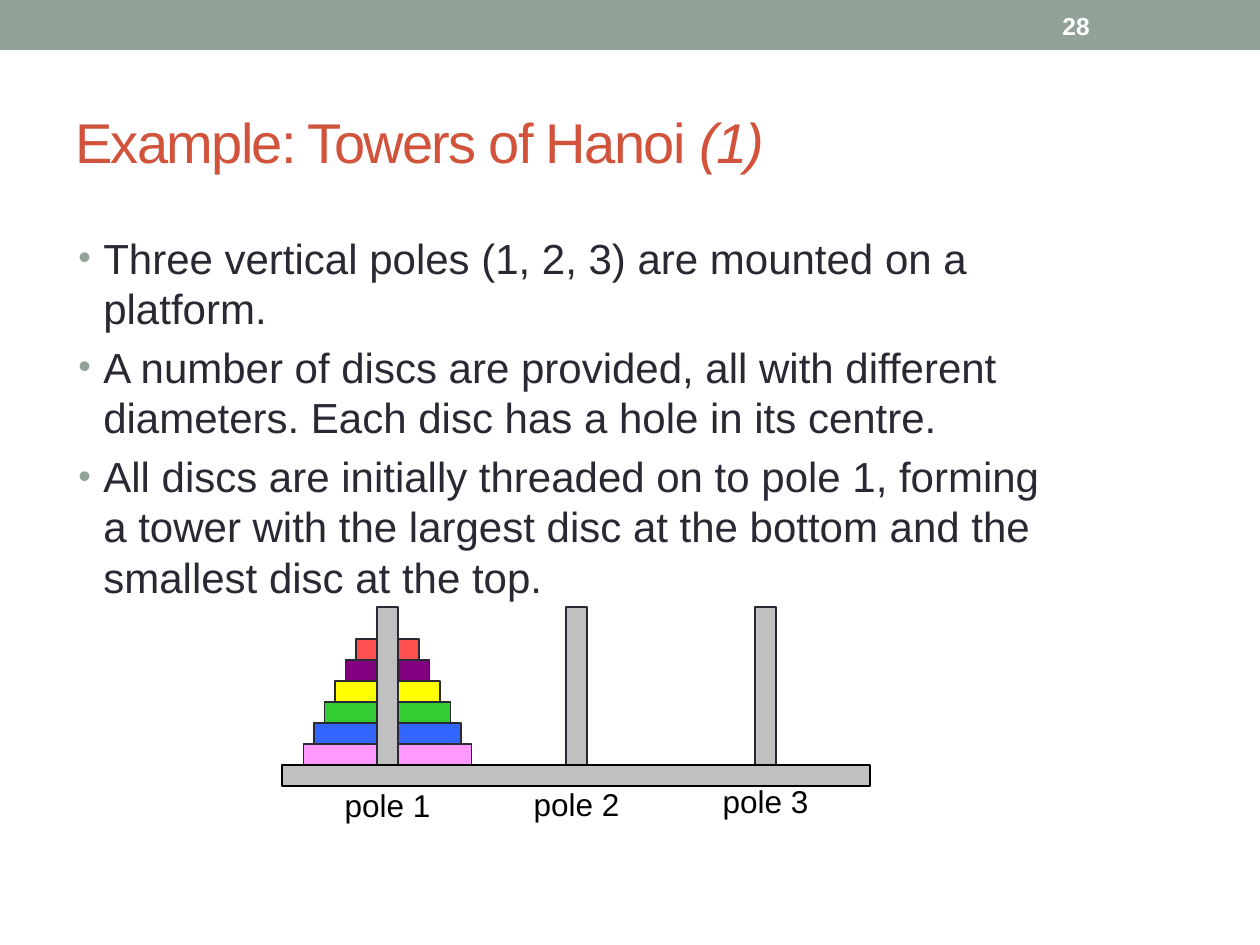
from dataclasses import dataclass

from lxml.etree import SubElement
from pptx import Presentation
from pptx.dml.color import RGBColor
from pptx.enum.shapes import MSO_SHAPE
from pptx.enum.text import MSO_ANCHOR, PP_ALIGN
from pptx.oxml.ns import qn
from pptx.util import Pt


@dataclass(frozen=True)
class Theme:
    font: str = "Arial"
    banner: str = "93A299"
    title: str = "D2533C"
    ink: str = "292934"
    black: str = "000000"
    white: str = "FFFFFF"
    wood: str = "C0C0C0"
    title_size: int = 32
    body_size: int = 24
    label_size: int = 18
    number_size: int = 14


THEME = Theme()
TITLE = [("Example: Towers of Hanoi ", False), ("(1)", True)]
PAGE_NUMBER = "28"
BULLETS = [
    "Three vertical poles (1, 2, 3) are mounted on a platform.",
    "A number of discs are provided, all with different diameters. Each disc has a hole in its centre.",
    "All discs are initially threaded on to pole 1, forming a tower with the largest disc at the bottom and the smallest disc at the top.",
]
DISC_COLORS = ["FF5050", "800080", "FFFF00", "33CC33", "3366FF", "FF99FF"]
POLES = [("pole 1", 786), ("pole 2", 785), ("pole 3", 782)]

UNIT = 21
PLATFORM_LEFT, PLATFORM_TOP, PLATFORM_WIDTH = 282, 765, 588
POLE_LEFT, POLE_TOP, POLE_HEIGHT, POLE_PITCH = 377, 607, 168, 189
LABEL_WIDTH, LABEL_HEIGHT = 94, 38
SMALLEST_DISC = 3 * UNIT


def emu(px):
    return round(px * 914400 / 126)


def add_bar(page, left, top, width, height, fill, line=None):
    bar = page.shapes.add_shape(MSO_SHAPE.RECTANGLE, *map(emu, (left, top, width, height)))
    bar.shadow.inherit = False
    bar.fill.solid()
    bar.fill.fore_color.rgb = RGBColor.from_string(fill)
    if line:
        bar.line.color.rgb = RGBColor.from_string(line)
        bar.line.width = Pt(0.75)
    else:
        bar.line.fill.background()


def add_text_frame(page, left, top, width, height, anchor=MSO_ANCHOR.TOP):
    box = page.shapes.add_textbox(*map(emu, (left, top, width, height)))
    frame = box.text_frame
    frame.word_wrap = True
    frame.vertical_anchor = anchor
    return frame


def style(para, size, color, bold=False):
    para.font.name = THEME.font
    para.font.size = Pt(size)
    para.font.bold = bold
    para.font.color.rgb = RGBColor.from_string(color)


def add_bullet(para):
    properties = para._p.get_or_add_pPr()
    properties.set("marL", str(emu(25)))
    properties.set("indent", str(emu(-25)))
    color = SubElement(properties, qn("a:buClr"))
    SubElement(color, qn("a:srgbClr"), val=THEME.banner)
    SubElement(properties, qn("a:buSzPct"), val="85000")
    SubElement(properties, qn("a:buFont"), typeface=THEME.font)
    SubElement(properties, qn("a:buChar"), char="•")


def add_heading(page):
    para = add_text_frame(page, 63, 73, 1134, 136, MSO_ANCHOR.MIDDLE).paragraphs[0]
    style(para, THEME.title_size, THEME.title)
    for text, italic in TITLE:
        span = para.add_run()
        span.text = text
        span.font.italic = italic
        span._r.get_or_add_rPr().set("spc", "-100")


def add_body(page):
    frame = add_text_frame(page, 66, 226, 993, 635)
    for index, text in enumerate(BULLETS):
        para = frame.add_paragraph() if index else frame.paragraphs[0]
        para.text = text
        add_bullet(para)
        if index:
            para.space_before = Pt(0.2 * THEME.body_size)
        style(para, THEME.body_size, THEME.ink)


def add_towers(page):
    center = POLE_LEFT + UNIT / 2
    for index, color in enumerate(DISC_COLORS):
        width = SMALLEST_DISC + index * UNIT
        top = PLATFORM_TOP - (len(DISC_COLORS) - index) * UNIT
        add_bar(page, center - width / 2, top, width, UNIT, color, THEME.ink)
    for index, (label, label_top) in enumerate(POLES):
        left = POLE_LEFT + index * POLE_PITCH
        add_bar(page, left, POLE_TOP, UNIT, POLE_HEIGHT, THEME.wood, THEME.ink)
        frame = add_text_frame(
            page, left + (UNIT - LABEL_WIDTH) / 2, label_top, LABEL_WIDTH, LABEL_HEIGHT
        )
        frame.margin_left = frame.margin_right = frame.margin_top = frame.margin_bottom = 0
        para = frame.paragraphs[0]
        para.text = label
        para.alignment = PP_ALIGN.CENTER
        style(para, THEME.label_size, THEME.black)
    add_bar(page, PLATFORM_LEFT, PLATFORM_TOP, PLATFORM_WIDTH, UNIT, THEME.wood, THEME.black)


def main():
    deck = Presentation()
    deck.slide_width, deck.slide_height = emu(1260), emu(945)
    page = deck.slides.add_slide(deck.slide_layouts[6])
    add_bar(page, 0, 0, 1260, 50, THEME.banner)
    add_heading(page)
    add_body(page)
    add_towers(page)
    para = add_text_frame(page, 1050, 3, 147, 45, MSO_ANCHOR.MIDDLE).paragraphs[0]
    para.text = PAGE_NUMBER
    style(para, THEME.number_size, THEME.white, bold=True)
    deck.save("out.pptx")


if __name__ == "__main__":
    main()
